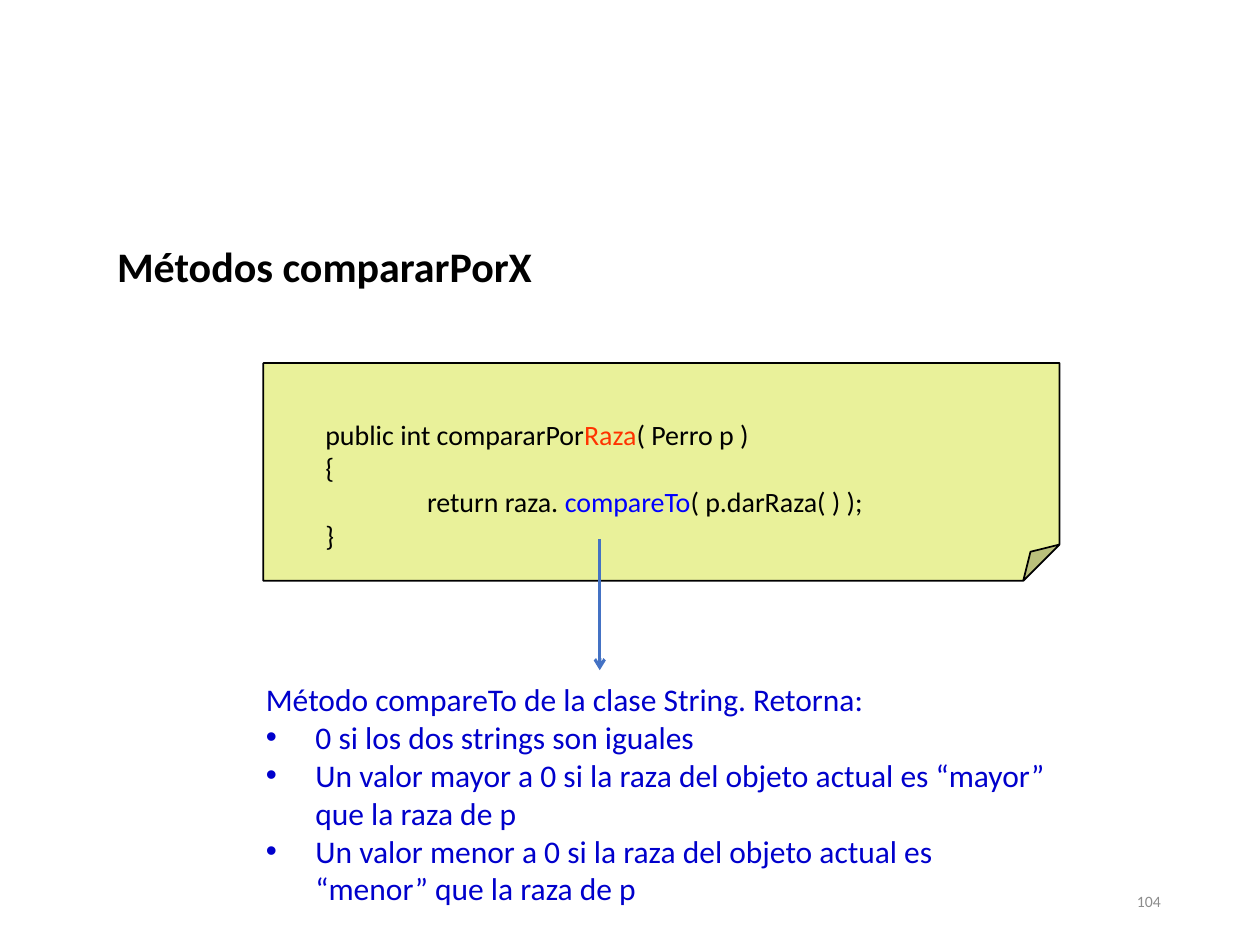
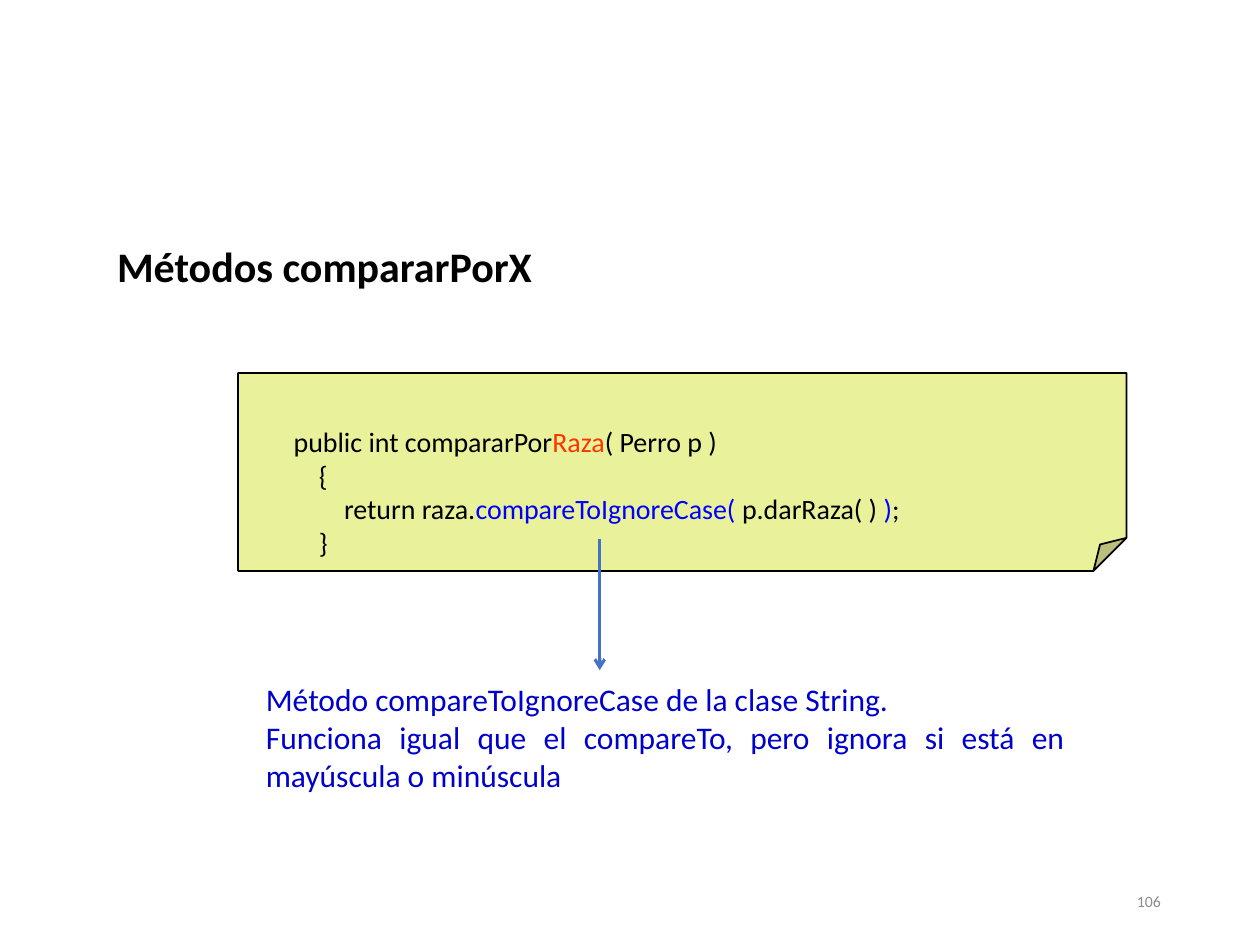
"""Build two slides explaining the compararPorX methods."""
from lxml import etree
from pptx import Presentation
from pptx.dml.color import RGBColor
from pptx.enum.shapes import MSO_CONNECTOR, MSO_SHAPE
from pptx.enum.text import MSO_ANCHOR, PP_ALIGN
from pptx.oxml.ns import qn
from pptx.util import Cm, Pt

STRAIGHT = MSO_CONNECTOR.STRAIGHT
FOLDED = MSO_SHAPE.FOLDED_CORNER
MIDDLE = MSO_ANCHOR.MIDDLE
LEFT, RIGHT, JUSTIFY = PP_ALIGN.LEFT, PP_ALIGN.RIGHT, PP_ALIGN.JUSTIFY

FONT = "Calibri"
COLORS = {
    "black": "000000", "note": "E9F19A", "raza": "FF3300", "call": "0000FF",
    "explain": "0000CC", "arrow": "4472C4", "number": "8C8C8C",
}
TITLE = "Métodos compararPorX"
SIGNATURE = [("public int compararPor", "black"), ("Raza", "raza"),
             ("( Perro p )", "black")]
INDENT = 1.0
RETURN_INDENT = 3.05

SLIDES = [
    {
        "number": "104",
        "note": (5.31, 7.32, 16.05, 4.39),
        "code_box": (5.31, 8.29, 15.75, 2.99),
        "code": [
            (INDENT, SIGNATURE),
            (INDENT, [("{", "black")]),
            (RETURN_INDENT, [("return raza. ", "black"), ("compareTo", "call"),
                             ("( p.darRaza( ) );", "black")]),
            (INDENT, [("}", "black")]),
        ],
        "explain_box": (5.11, 13.59, 16.26, 4.88),
        "explain": [
            ("Método compareTo de la clase String. Retorna:", LEFT, False),
            ("0 si los dos strings son iguales", LEFT, True),
            ("Un valor mayor a 0 si la raza del objeto actual es “mayor” "
             "que la raza de p", LEFT, True),
            ("Un valor menor a 0 si la raza del objeto actual es “menor” "
             "que la raza de p", LEFT, True),
        ],
    },
    {
        "number": "106",
        "note": (4.8, 7.52, 17.91, 3.99),
        "code_box": (4.67, 8.44, 17.55, 2.99),
        "code": [
            (INDENT, SIGNATURE),
            (INDENT, [("    {", "black")]),
            (INDENT, [("        return raza.", "black"),
                      ("compareToIgnoreCase( ", "call"),
                      ("p.darRaza( ) ", "black"), (")", "call"),
                      (";", "black")]),
            (INDENT, [("    }", "black")]),
        ],
        "explain_box": (5.11, 13.59, 16.61, 2.57),
        "explain": [
            ("Método compareToIgnoreCase de la clase String.", LEFT, False),
            ("Funciona igual que el compareTo, pero ignora si está en "
             "mayúscula o minúscula", JUSTIFY, False),
        ],
    },
]


def rgb(name):
    return RGBColor.from_string(COLORS[name])


def set_indent(p, left, first=0):
    pPr = p._p.get_or_add_pPr()
    pPr.set("marL", str(Cm(left)))
    pPr.set("indent", str(Cm(first)))
    return pPr


def add_bullet(p):
    pPr = set_indent(p, INDENT, -INDENT)
    etree.SubElement(pPr, qn("a:buFont")).set("typeface", "Arial")
    etree.SubElement(pPr, qn("a:buChar")).set("char", "•")


def add_text(s, box, paragraphs, size, bold=False, anchor=None):
    """Add a text box; each paragraph is (runs, alignment, indent, bullet)."""
    tf = s.shapes.add_textbox(*map(Cm, box)).text_frame
    tf.word_wrap = True
    if anchor is not None:
        tf.vertical_anchor = anchor
    for i, (runs, align, indent, bullet) in enumerate(paragraphs):
        p = tf.paragraphs[0] if i == 0 else tf.add_paragraph()
        p.alignment = align
        if bullet:
            add_bullet(p)
        elif indent:
            set_indent(p, indent)
        for text, color in runs:
            r = p.add_run()
            r.text = text
            r.font.name, r.font.size, r.font.bold = FONT, Pt(size), bold
            r.font.color.rgb = rgb(color)


def add_note(s, box):
    sp = s.shapes.add_shape(FOLDED, *map(Cm, box))
    sp.shadow.inherit = False
    sp.fill.solid()
    sp.fill.fore_color.rgb = rgb("note")
    sp.line.color.rgb = rgb("black")
    sp.line.width = Pt(1)


def add_arrow(s, x, top, bottom):
    line = s.shapes.add_connector(STRAIGHT, Cm(x), Cm(top), Cm(x), Cm(bottom))
    line.line.color.rgb = rgb("arrow")
    line.line.width = Pt(1.75)
    etree.SubElement(line.line._get_or_add_ln(), qn("a:tailEnd")).set("type", "arrow")
    etree.SubElement(line._element.spPr, qn("a:effectLst"))


def build_slide(prs, data):
    s = prs.slides.add_slide(prs.slide_layouts[6])
    add_text(s, (2.11, 4.72, 13.59, 1.27),
             [([(TITLE, "black")], LEFT, 0, False)], 24, bold=True)
    add_note(s, data["note"])
    add_text(s, data["code_box"],
             [(runs, LEFT, indent, False) for indent, runs in data["code"]], 16)
    add_text(s, data["explain_box"],
             [([(text, "explain")], align, 0, bullet)
              for text, align, bullet in data["explain"]], 18)
    add_arrow(s, 12.09, 10.87, 13.51)
    add_text(s, (17.93, 17.65, 5.72, 1.02),
             [([(data["number"], "number")], RIGHT, 0, False)], 9, anchor=MIDDLE)


def main():
    prs = Presentation()
    prs.slide_width, prs.slide_height = Cm(25.4), Cm(19.05)
    for data in SLIDES:
        build_slide(prs, data)
    prs.save("out.pptx")


if __name__ == "__main__":
    main()
